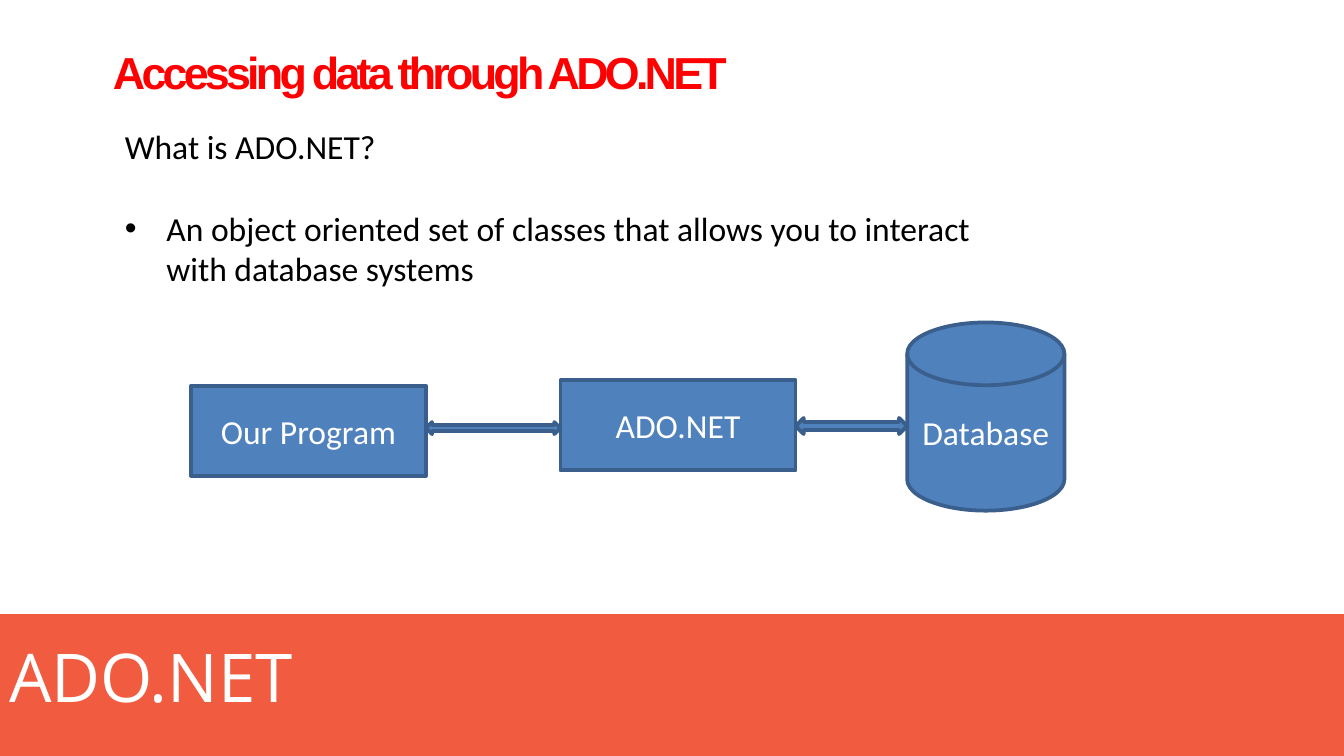
from pptx import Presentation
from pptx.dml.color import RGBColor
from pptx.enum.shapes import MSO_SHAPE as Shape
from pptx.enum.text import MSO_ANCHOR as Anchor, PP_ALIGN as Align
from pptx.util import Inches, Pt
from lxml import etree


def color(value):
    return RGBColor.from_string(value)


def add_text(left, top, width, height, lines, size, font, text_color, spacing=0, insets=(0, 0)):
    """Add a wrapped text box, one paragraph a line, and return its frame."""
    frame = slide.shapes.add_textbox(
        Inches(left), Inches(top), Inches(width), Inches(height)).text_frame
    frame.word_wrap = True
    frame.margin_left = frame.margin_right = Inches(insets[0])
    frame.margin_top = frame.margin_bottom = Inches(insets[1])
    for index, line in enumerate(lines):
        paragraph = frame.add_paragraph() if index else frame.paragraphs[0]
        run = paragraph.add_run()
        run.text = line
        if spacing:
            run._r.get_or_add_rPr().set("spc", str(int(spacing * 100)))
        paragraph.font.size = Pt(size)
        paragraph.font.name = font
        paragraph.font.color.rgb = color(text_color)
    return frame


presentation = Presentation()
presentation.slide_width = Inches(10)
presentation.slide_height = presentation.slide_width * 9 // 16
slide = presentation.slides.add_slide(presentation.slide_layouts[6])

# Title
title = add_text(0.84, 0.31, 8.41, 0.42, ["Accessing data through ADO.NET"],
                 24, "Arial", "FF0000", spacing=-2)
title.margin_top = Inches(0.02)
title.paragraphs[0].font.bold = True

# Footer band with the topic
band_top = Inches(4.57)
band = slide.shapes.add_shape(
    Shape.RECTANGLE, 0, band_top, presentation.slide_width,
    presentation.slide_height - band_top)
band.shadow.inherit = False
band.fill.solid()
band.fill.fore_color.rgb = color("F15B40")
band.line.fill.background()
topic = add_text(0.07, 4.73, 2.52, 0.62, ["ADO.NET"], 36, "Open Sans", "FFFFFF", spacing=-0.1)
topic.paragraphs[0].line_spacing = Pt(43)

# Question and bulleted answer
body = add_text(0.83, 0.89, 6.58, 1.62,
                ["What is ADO.NET?",
                 "An object oriented set of classes that allows you "
                 "to interact with database systems"],
                18, "Calibri", "000000", insets=(0.1, 0.05))
answer = body.paragraphs[1]
answer.space_before = Pt(22)
properties = answer._p.get_or_add_pPr()
properties.set("marL", str(Inches(0.31)))
properties.set("indent", str(-Inches(0.31)))
namespace = "{http://schemas.openxmlformats.org/drawingml/2006/main}"
bullet_font = etree.Element(namespace + "buFont", typeface="Arial")
bullet = etree.Element(namespace + "buChar", char="•")
properties.find(namespace + "spcBef").addnext(bullet_font)
bullet_font.addnext(bullet)

# Data flow: program, ADO.NET, database and the arrows between them
diagram = [
    (Shape.RECTANGLE, 1.42, 2.87, 1.75, 0.67, "Our Program"),
    (Shape.RECTANGLE, 4.17, 2.83, 1.75, 0.67, "ADO.NET"),
    (Shape.FLOWCHART_MAGNETIC_DISK, 6.75, 2.4, 1.17, 1.4, "Database"),
    (Shape.LEFT_RIGHT_ARROW, 5.92, 3.11, 0.83, 0.12, ""),
    (Shape.LEFT_RIGHT_ARROW, 3.17, 3.14, 1, 0.09, ""),
]
for kind, left, top, width, height, label in diagram:
    shape = slide.shapes.add_shape(
        kind, Inches(left), Inches(top), Inches(width), Inches(height))
    shape.shadow.inherit = False
    shape.fill.solid()
    shape.fill.fore_color.rgb = color("4F81BD")
    shape.line.color.rgb = color("3A5F8C")
    shape.line.width = Pt(2)
    if label:
        frame = shape.text_frame
        frame.text = label
        frame.vertical_anchor = Anchor.MIDDLE
        paragraph = frame.paragraphs[0]
        paragraph.alignment = Align.CENTER
        paragraph.font.size = Pt(18)
        paragraph.font.name = "Calibri"
        paragraph.font.color.rgb = color("FFFFFF")

presentation.save("out.pptx")
